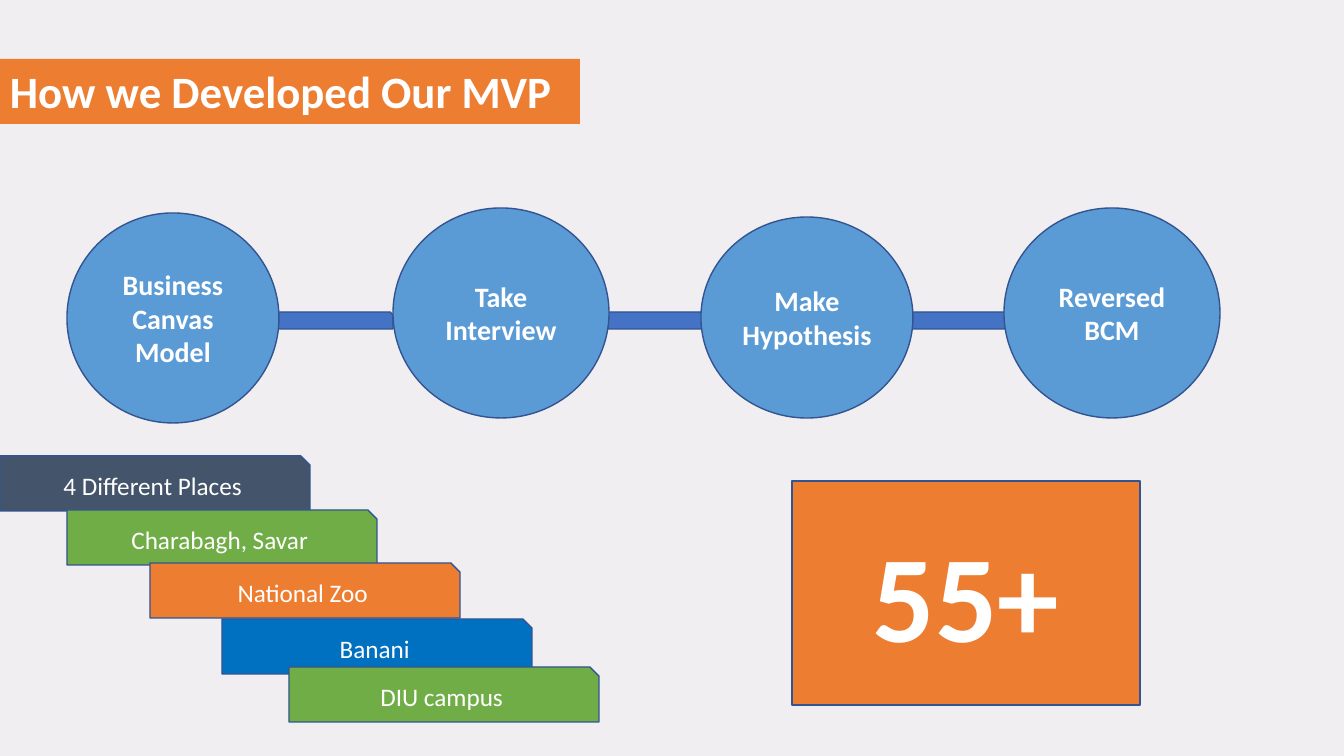
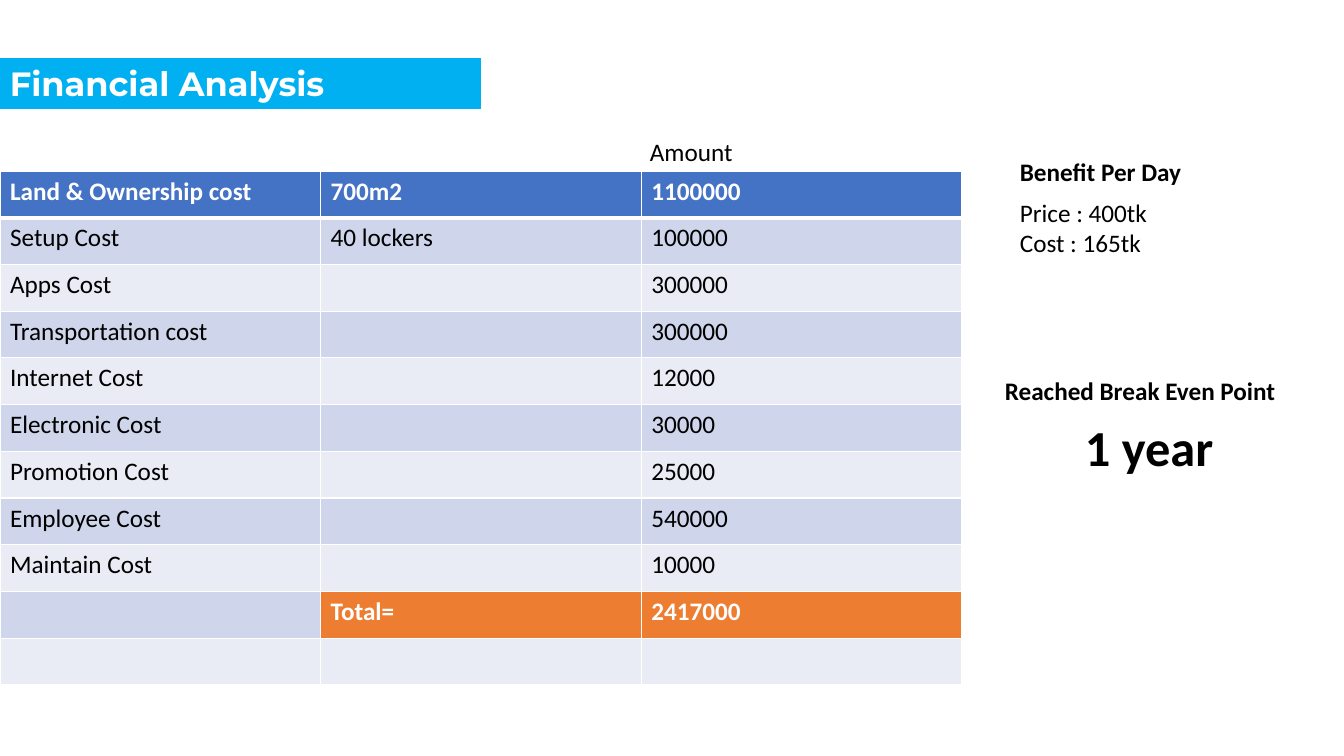
from dataclasses import dataclass
from typing import Any

from lxml.etree import SubElement
from pptx import Presentation
from pptx.dml.color import RGBColor
from pptx.enum.shapes import MSO_SHAPE as Shape
from pptx.enum.text import MSO_ANCHOR as Anchor, MSO_AUTO_SIZE as AutoSize, PP_ALIGN as Align
from pptx.oxml.ns import qn
from pptx.util import Emu, Pt

# Scale: the slide is 1344 x 756 px
SLIDE_W, SLIDE_H = 1344, 756
EMU_PER_PX = 12192000 / SLIDE_W

# Colours
WHITE = RGBColor(0xFF, 0xFF, 0xFF)
BLACK = RGBColor(0x00, 0x00, 0x00)
MIST = RGBColor(0xF0, 0xEE, 0xF0)
ORANGE = RGBColor(0xED, 0x7D, 0x31)
CYAN = RGBColor(0x00, 0xB0, 0xF0)
SKY = RGBColor(0x5B, 0x9B, 0xD5)
BLUE = RGBColor(0x44, 0x72, 0xC4)
DEEP_BLUE = RGBColor(0x00, 0x70, 0xC0)
OUTLINE = RGBColor(0x32, 0x54, 0x91)
SLATE = RGBColor(0x44, 0x54, 0x6A)
GREEN = RGBColor(0x70, 0xAD, 0x47)
BAND_DARK = RGBColor(0xCF, 0xD5, 0xEA)
BAND_LIGHT = RGBColor(0xE9, 0xEB, 0xF5)

# Text formats
Format = dict[str, Any]
BODY: Format = {"name": "Calibri", "size": Pt(18), "bold": False, "color": BLACK}
STRONG = BODY | {"bold": True}
TAB = BODY | {"color": WHITE}
ON_COLOUR = STRONG | {"color": WHITE}
STEP = ON_COLOUR | {"size": Pt(20)}
COUNT = ON_COLOUR | {"size": Pt(88)}
YEARS = STRONG | {"size": Pt(36)}


@dataclass(frozen=True)
class Box:
    left: int
    top: int
    width: int
    height: int

    def emu(self) -> tuple[Emu, ...]:
        return tuple(px(n) for n in (self.left, self.top, self.width, self.height))


@dataclass(frozen=True)
class Label:
    text: str
    box: Box
    fill: RGBColor


@dataclass(frozen=True)
class Note:
    lines: tuple[str, ...]
    box: Box
    style: Format
    wrap: bool


# Slide 1 content
LINK_LEFTS = (278, 601, 908)
STEPS = (
    Label("Business Canvas Model", Box(67, 213, 212, 210), SKY),
    Label("Make Hypothesis", Box(701, 217, 212, 201), SKY),
    Label("Take Interview", Box(393, 208, 216, 210), SKY),
    Label("Reversed BCM", Box(1004, 208, 216, 210), SKY),
)
PLACES = (
    Label("4 Different Places", Box(0, 456, 310, 55), SLATE),
    Label("Charabagh, Savar", Box(67, 510, 310, 55), GREEN),
    Label("National Zoo", Box(150, 563, 310, 55), ORANGE),
    Label("Banani", Box(222, 619, 310, 55), DEEP_BLUE),
    Label("DIU campus", Box(289, 667, 310, 55), GREEN),
)
INTERVIEWS = Label("55+", Box(792, 481, 348, 224), ORANGE)

# Slide 2 content
COSTS = (
    ("Land & Ownership cost", "700m2", "1100000"),
    ("Setup Cost", "40 lockers", "100000"),
    ("Apps Cost", "", "300000"),
    ("Transportation cost", "", "300000"),
    ("Internet Cost", "", "12000"),
    ("Electronic Cost", "", "30000"),
    ("Promotion Cost", "", "25000"),
    ("Employee Cost", "", "540000"),
    ("Maintain Cost", "", "10000"),
    ("", "Total=", "2417000"),
    ("", "", ""),
)
TOTAL_ROW = 9
COST_BOX = Box(0, 171, 962, 514)
NOTES = (
    Note(("Amount",), Box(640, 131, 104, 40), BODY, False),
    Note(("Benefit Per Day",), Box(1010, 151, 183, 40), STRONG, False),
    Note(("Price : 400tk", "Cost : 165tk"), Box(1010, 192, 161, 71), BODY, True),
    Note(("Reached Break Even Point",), Box(995, 370, 299, 40), STRONG, False),
    Note(("1 year",), Box(1075, 411, 161, 71), YEARS, True),
)


def px(length: float) -> Emu:
    return Emu(round(length * EMU_PER_PX))


def write(frame: Any, lines: tuple[str, ...], style: Format, align: Align = Align.LEFT) -> None:
    """Fill a text frame with one formatted paragraph per line."""
    for index, line in enumerate(lines):
        paragraph = frame.paragraphs[0] if index == 0 else frame.add_paragraph()
        paragraph.alignment = align
        font = paragraph.add_run().font
        paragraph.runs[0].text = line
        for key, value in style.items():
            if key == "color":
                font.color.rgb = value
            else:
                setattr(font, key, value)


def add_block(slide: Any, kind: Shape, box: Box, fill: RGBColor, outlined: bool = True) -> Any:
    block = slide.shapes.add_shape(kind, *box.emu())
    block.shadow.inherit = False
    block.fill.solid()
    block.fill.fore_color.rgb = fill
    if outlined:
        block.line.color.rgb = OUTLINE
        block.line.width = Pt(1)
    else:
        block.line.fill.background()
    return block


def add_label(slide: Any, kind: Shape, label: Label, style: Format) -> None:
    frame = add_block(slide, kind, label.box, label.fill).text_frame
    frame.word_wrap = True
    frame.vertical_anchor = Anchor.MIDDLE
    write(frame, (label.text,), style, Align.CENTER)


def add_note(slide: Any, note: Note) -> None:
    frame = slide.shapes.add_textbox(*note.box.emu()).text_frame
    frame.word_wrap = note.wrap
    frame.auto_size = AutoSize.SHAPE_TO_FIT_TEXT
    write(frame, note.lines, note.style)


def start_slide(deck: Any, background: RGBColor) -> Any:
    slide = deck.slides.add_slide(deck.slide_layouts[6])
    slide.background.fill.solid()
    slide.background.fill.fore_color.rgb = background
    return slide


def add_title(slide: Any, title: Label, font_name: str, size: int) -> None:
    """Draw the title band that starts at the left edge of each slide."""
    frame = add_block(slide, Shape.RECTANGLE, title.box, title.fill, outlined=False).text_frame
    frame.word_wrap = True
    frame.vertical_anchor = Anchor.TOP
    frame.auto_size = AutoSize.SHAPE_TO_FIT_TEXT
    write(frame, (title.text,), ON_COLOUR | {"name": font_name, "size": Pt(size)})


def set_borders(cell: Any, bottom: int, top: int) -> None:
    """Give a cell white borders; widths are in points."""
    properties = cell._tc.get_or_add_tcPr()
    for index, (tag, width) in enumerate((("lnL", 1), ("lnR", 1), ("lnT", top), ("lnB", bottom))):
        border = SubElement(properties, qn(f"a:{tag}"), w=str(Pt(width)))
        SubElement(SubElement(border, qn("a:solidFill")), qn("a:srgbClr"), val=str(WHITE))
        properties.insert(index, border)


def cell_look(row: int, text: str) -> tuple[RGBColor, Format]:
    if row == 0:
        return BLUE, ON_COLOUR
    if row == TOTAL_ROW and text:
        return ORANGE, ON_COLOUR
    return (BAND_DARK if row % 2 else BAND_LIGHT), BODY


def add_cost_table(slide: Any) -> None:
    rows, columns = len(COSTS), len(COSTS[0])
    table = slide.shapes.add_table(rows, columns, *COST_BOX.emu()).table
    table.first_row = table.horz_banding = False
    for column in table.columns:
        column.width = px(COST_BOX.width / columns)
    for row, texts in enumerate(COSTS):
        table.rows[row].height = px(COST_BOX.height / rows)
        for column, text in enumerate(texts):
            cell = table.cell(row, column)
            fill, style = cell_look(row, text)
            cell.fill.solid()
            cell.fill.fore_color.rgb = fill
            set_borders(cell, bottom=3 if row == 0 else 1, top=3 if row == 1 else 1)
            if text:
                write(cell.text_frame, (text,), style)


def build_mvp_slide(deck: Any) -> None:
    slide = start_slide(deck, MIST)
    add_title(slide, Label("How we Developed Our MVP", Box(0, 59, 580, 65), ORANGE), "Calibri", 32)
    # Process chain: links lie behind the circles
    for left in LINK_LEFTS:
        add_block(slide, Shape.SNIP_1_RECTANGLE, Box(left, 312, 115, 17), BLUE)
    for step in STEPS:
        add_label(slide, Shape.OVAL, step, STEP)
    # Interview places and count
    for place in PLACES:
        add_label(slide, Shape.SNIP_1_RECTANGLE, place, TAB)
    add_label(slide, Shape.RECTANGLE, INTERVIEWS, COUNT)


def build_finance_slide(deck: Any) -> None:
    slide = start_slide(deck, WHITE)
    add_title(slide, Label("Financial Analysis", Box(0, 58, 481, 51), CYAN), "Montserrat", 24)
    add_cost_table(slide)
    for note in NOTES:
        add_note(slide, note)


def main() -> None:
    deck = Presentation()
    deck.slide_width, deck.slide_height = px(SLIDE_W), px(SLIDE_H)
    build_mvp_slide(deck)
    build_finance_slide(deck)
    deck.save("out.pptx")


if __name__ == "__main__":
    main()
